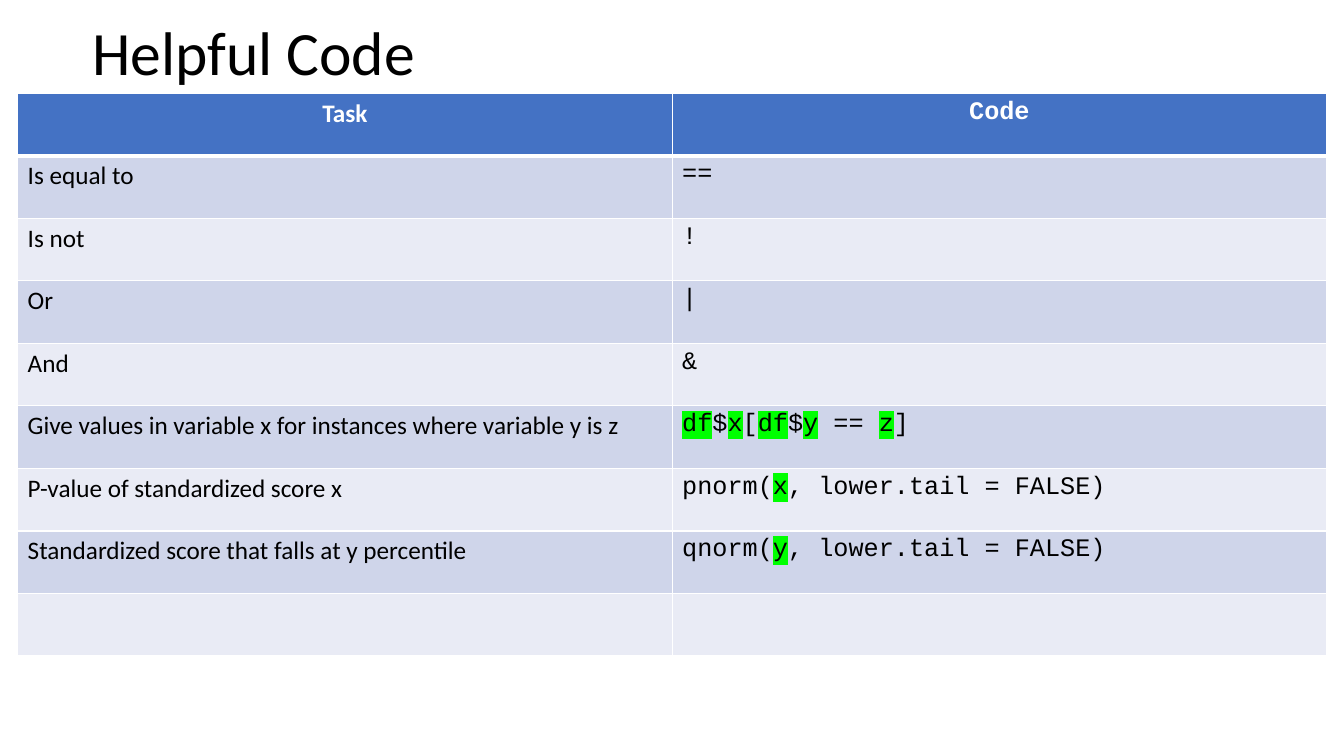
from lxml.etree import SubElement
from pptx import Presentation
from pptx.dml.color import RGBColor
from pptx.enum.text import MSO_ANCHOR, PP_ALIGN
from pptx.oxml import parse_xml
from pptx.oxml.ns import nsdecls, qn
from pptx.util import Pt

COLORS = {
    "black": "000000",
    "white": "FFFFFF",
    "head": "4472C4",
    "dark": "CFD5EA",
    "light": "E9EBF5",
    "mark": "00FF00",
}
FONTS = ("Calibri", "Courier New")

# Backticks enclose the highlighted parts
ROWS = [
    ("Task", "Code"),
    ("Is equal to", "=="),
    ("Is not", "!"),
    ("Or", "|"),
    ("And", "&"),
    ("Give values in variable x for instances where variable y is z",
     "`df`$`x`[`df`$`y` == `z`]"),
    ("P-value of standardized score x", "pnorm(`x`, lower.tail = FALSE)"),
    ("Standardized score that falls at y percentile",
     "qnorm(`y`, lower.tail = FALSE)"),
    ("", ""),
]


def color(name):
    return RGBColor.from_string(COLORS[name])


def mark(run):
    """Highlight a run; the tag belongs right after the text fill."""
    tag = parse_xml(f'<a:highlight {nsdecls("a")}>'
                    f'<a:srgbClr val="{COLORS["mark"]}"/></a:highlight>')
    run.font._element.find(qn("a:solidFill")).addnext(tag)


def write(frame, text, font="Calibri", size=18, ink="black", bold=False,
          align=PP_ALIGN.LEFT, space=1.0):
    para = frame.paragraphs[0]
    para.alignment = align
    para.line_spacing = space
    para.font.size = Pt(size)
    for i, part in enumerate(text.split("`")):
        if not part:
            continue
        run = para.add_run()
        run.text = part
        run.font.size = Pt(size)
        run.font.bold = bold
        run.font.color.rgb = color(ink)
        run.font.name = font
        if i % 2:
            mark(run)


def add_title(slide, text):
    box = slide.shapes.add_textbox(Pt(59), Pt(0), Pt(828), Pt(79.2))
    frame = box.text_frame
    frame.word_wrap = True
    frame.vertical_anchor = MSO_ANCHOR.MIDDLE
    write(frame, text, size=44, space=0.9)


def add_edges(cell, row):
    """White rules, with a thick one below the header."""
    props = cell._tc.get_or_add_tcPr()
    wide = {"T": 3 if row == 1 else 1, "B": 3 if row == 0 else 1}
    for side in "LRTB":
        line = SubElement(props, qn(f"a:ln{side}"), w=str(Pt(wide.get(side, 1))))
        fill = SubElement(line, qn("a:solidFill"))
        SubElement(fill, qn("a:srgbClr"), val=COLORS["white"])


def add_grid(slide, rows):
    shape = slide.shapes.add_table(len(rows), 2, Pt(12.6), Pt(66.5),
                                   Pt(935), Pt(402.3))
    table = shape.table
    for col in table.columns:
        col.width = Pt(467.5)
    for r, texts in enumerate(rows):
        table.rows[r].height = Pt(44.7)
        head = r == 0
        for c, text in enumerate(texts):
            cell = table.cell(r, c)
            add_edges(cell, r)
            cell.fill.solid()
            cell.fill.fore_color.rgb = color(
                "head" if head else "dark" if r % 2 else "light")
            write(cell.text_frame, text, font=FONTS[c], bold=head,
                  ink="white" if head else "black",
                  align=PP_ALIGN.CENTER if head else PP_ALIGN.LEFT)


def main():
    deck = Presentation()
    deck.slide_width, deck.slide_height = Pt(960), Pt(540)
    slide = deck.slides.add_slide(deck.slide_layouts[6])
    add_title(slide, "Helpful Code")
    add_grid(slide, ROWS)
    deck.save("out.pptx")


if __name__ == "__main__":
    main()
